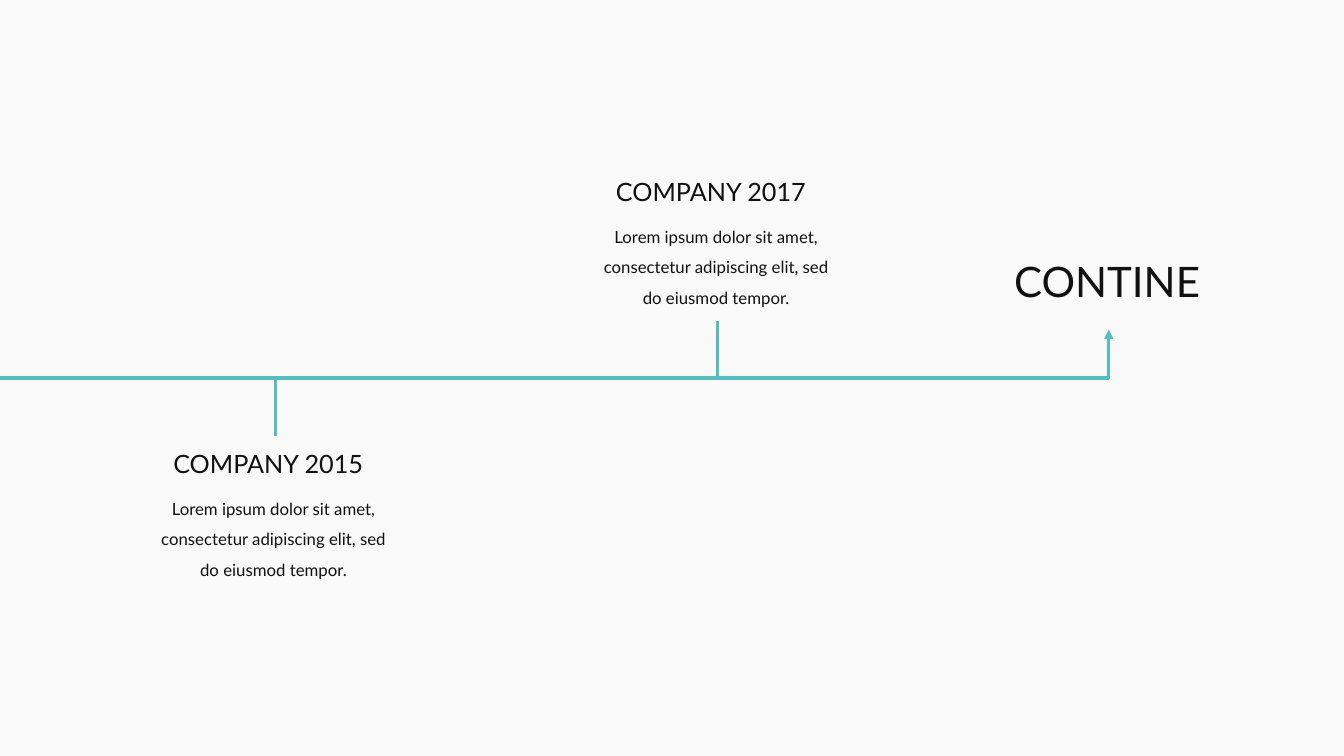
"""Build a company timeline slide with two milestones and a closing arrow."""
from lxml import etree
from pptx import Presentation
from pptx.dml.color import RGBColor
from pptx.enum.shapes import MSO_CONNECTOR as CONN
from pptx.enum.text import MSO_AUTO_SIZE as FIT, PP_ALIGN as ALIGN
from pptx.oxml.ns import qn
from pptx.util import Pt

BODY = "Lorem ipsum dolor sit amet, consectetur adipiscing elit, sed do eiusmod tempor."
MILESTONES = [
    {"title": "COMPANY 2015", "x": 196.6, "tick_end": 311.8, "top": 320.4},
    {"title": "COMPANY 2017", "x": 512.8, "tick_end": 229, "top": 126},
]
END_LABEL = "CONTINE"
FONT, INK, TEAL, PAPER = "Lato", "111111", "56BDBD", "F9F9F9"
AXIS_Y, AXIS_END, ARROW_TOP = 270, 792, 235.4


def color(value):
    return RGBColor.from_string(value)


def add_line(s, x1, y1, x2, y2, arrow=False):
    c = s.shapes.add_connector(CONN.STRAIGHT, Pt(x1), Pt(y1), Pt(x2), Pt(y2))
    c.line.color.rgb = color(TEAL)
    c.line.width = Pt(2.25)
    if arrow:
        etree.SubElement(c.line._get_or_add_ln(), qn("a:tailEnd"), type="triangle")
    etree.SubElement(c._element.spPr, qn("a:effectLst"))


def add_text(s, text, x, y, w, h, size, paragraph=False):
    tf = s.shapes.add_textbox(Pt(x), Pt(y), Pt(w), Pt(h)).text_frame
    tf.margin_left = tf.margin_right = tf.margin_top = tf.margin_bottom = 0
    tf.word_wrap = paragraph
    tf.auto_size = FIT.SHAPE_TO_FIT_TEXT
    p = tf.paragraphs[0]
    if paragraph:
        p.alignment = ALIGN.CENTER
        p.line_spacing = 1.5
    r = p.add_run()
    r.text = text
    r.font.name = FONT
    r.font.size = Pt(size)
    r.font.color.rgb = color(INK)


def main():
    prs = Presentation()
    prs.slide_width, prs.slide_height = Pt(960), Pt(540)
    s = prs.slides.add_slide(prs.slide_layouts[6])
    s.background.fill.solid()
    s.background.fill.fore_color.rgb = color(PAPER)

    add_line(s, 0, AXIS_Y, AXIS_END, AXIS_Y)
    add_line(s, AXIS_END, AXIS_Y + 0.8, AXIS_END, ARROW_TOP, arrow=True)
    add_text(s, END_LABEL, 724.4, 182.8, 136, 36, 30)

    for m in MILESTONES:
        x, top = m["x"], m["top"]
        add_line(s, x, AXIS_Y, x, m["tick_end"])
        add_text(s, m["title"], x - 72.8, top, 141, 21.6, 18)
        add_text(s, BODY, x - 87.6, top + 28.8, 172.8, 65.5, 12, paragraph=True)

    prs.save("out.pptx")


if __name__ == "__main__":
    main()
